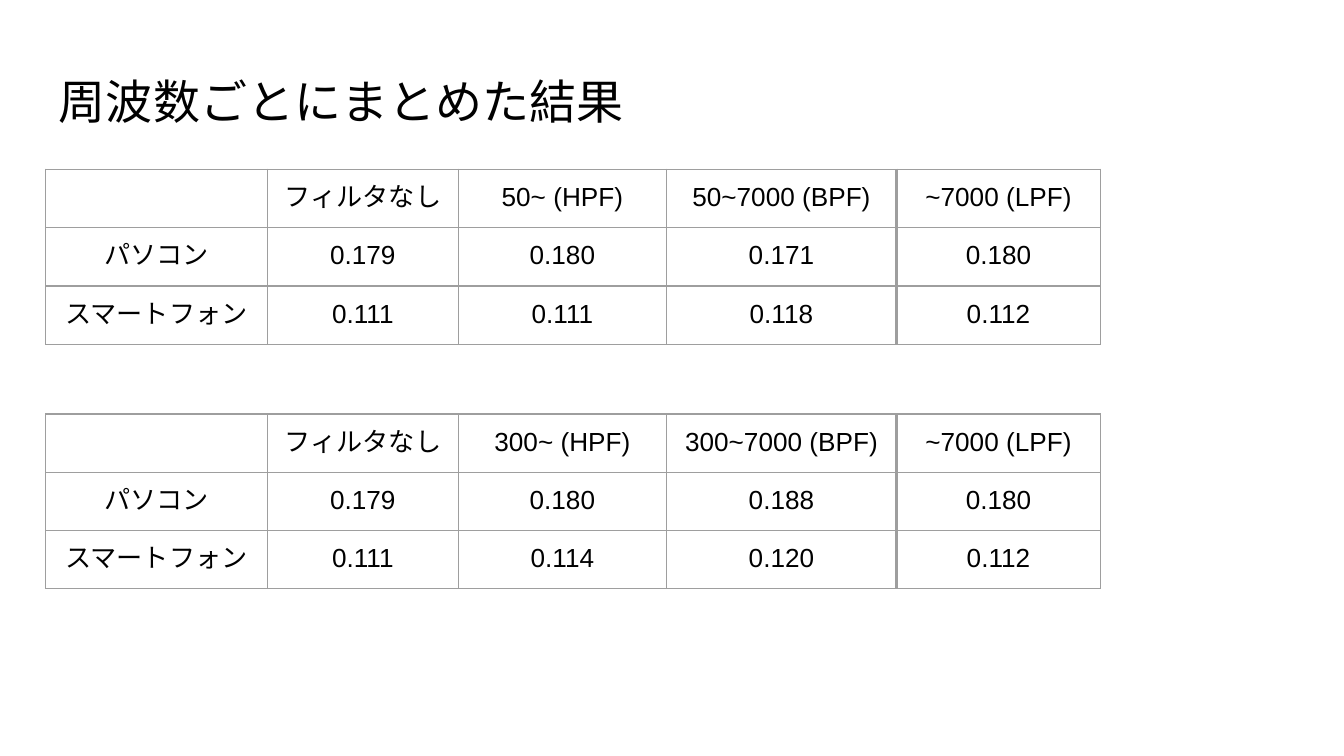
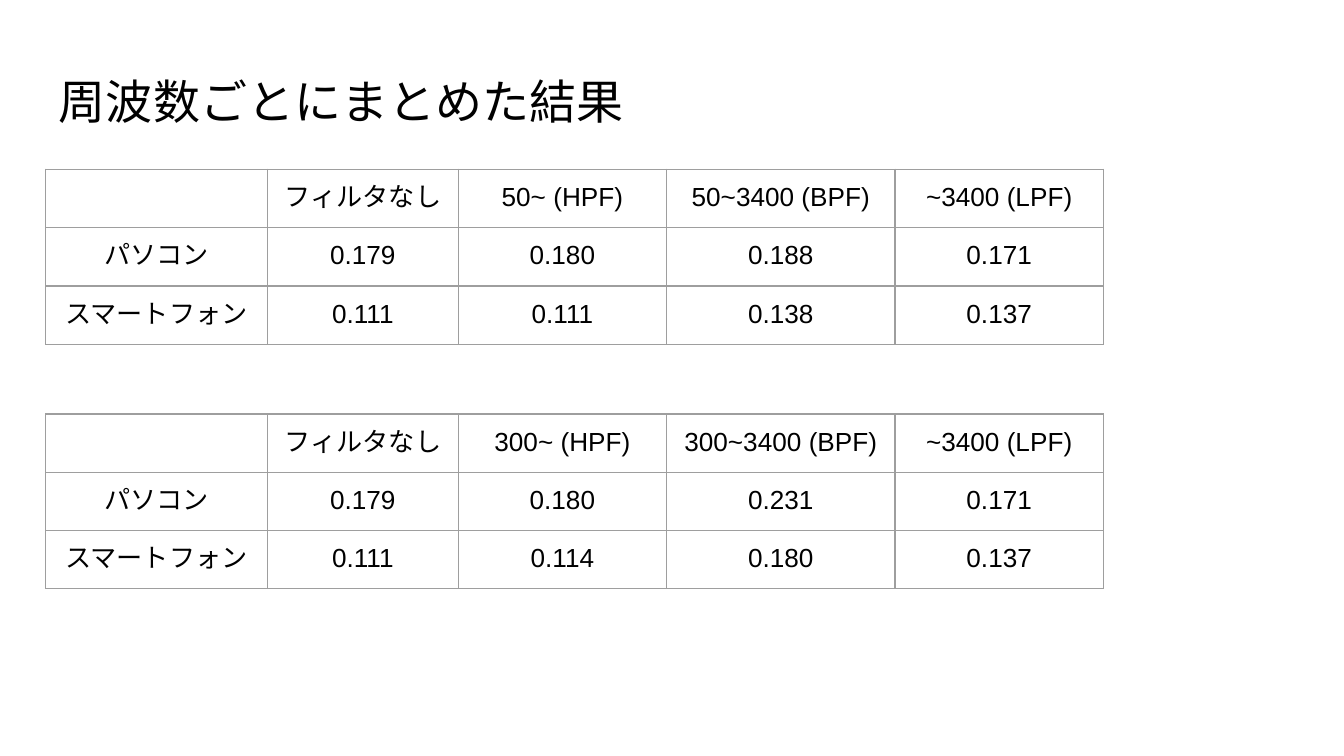
from dataclasses import dataclass
from itertools import product

from lxml.etree import SubElement
from pptx import Presentation
from pptx.dml.color import RGBColor
from pptx.enum.text import MSO_ANCHOR as Anchor, PP_ALIGN as Align
from pptx.oxml.ns import qn
from pptx.util import Emu, Pt

# Shared style: 200 px to the inch
EMU_PER_PX = 914400 // 200
FONT, INK, RULE = "Arial", "000000", "9E9E9E"
TITLE = "周波数ごとにまとめた結果"
TITLE_SIZE, CELL_SIZE = 25.2, 14
LEFT, ROW_HEIGHT, PADDING = 68, 84, 20
TABLE_TOPS = (252, 616)
THIN, THICK = 0.75, 1.5
BAND_PASS_COLUMN = 3
MARGINS = {f"margin_{side}": PADDING for side in ("left", "top", "right", "bottom")}


@dataclass(frozen=True)
class FilterTable:
    low: int                      # high-pass cutoff
    high_pass: tuple[str, str]    # values for PC, smartphone
    band_pass: tuple[str, str]


@dataclass(frozen=True)
class ResultSlide:
    high: int                     # low-pass cutoff
    low_pass: tuple[str, str]
    column_widths: tuple[int, ...]
    tables: tuple[FilterTable, FilterTable]


DEVICES = ("パソコン", "スマートフォン")
NO_FILTER = ("0.179", "0.111")
RESULTS = (
    ResultSlide(7000, ("0.180", "0.112"), (330, 284, 310, 342, 304), (
        FilterTable(50, ("0.180", "0.111"), ("0.171", "0.118")),
        FilterTable(300, ("0.180", "0.114"), ("0.188", "0.120")),
    )),
    ResultSlide(3400, ("0.171", "0.137"), (330, 284, 310, 340, 310), (
        FilterTable(50, ("0.180", "0.111"), ("0.188", "0.138")),
        FilterTable(300, ("0.180", "0.114"), ("0.231", "0.180")),
    )),
)


def px(length: int) -> Emu:
    return Emu(length * EMU_PER_PX)


def color(value: str) -> RGBColor:
    return RGBColor.from_string(value)


def apply(target, values: dict) -> None:
    for name, value in values.items():
        setattr(target, name, value)


def write(paragraph, text: str, size: float) -> None:
    if not text:
        SubElement(paragraph._p, qn("a:endParaRPr"), sz=str(size * 100))
        return
    run = paragraph.add_run()
    run.text = text
    apply(run.font, {"name": FONT, "size": Pt(size)})
    run.font.color.rgb = color(INK)
    SubElement(run._r.get_or_add_rPr(), qn("a:ea"), typeface=FONT)


def add_title(slide) -> None:
    frame = slide.shapes.add_textbox(px(LEFT), px(98), px(1864), px(126)).text_frame
    apply(frame, {name: px(value) for name, value in MARGINS.items()})
    apply(frame, {"word_wrap": True, "vertical_anchor": Anchor.TOP})
    paragraph = frame.paragraphs[0]
    paragraph.line_spacing = 0.9
    write(paragraph, TITLE, TITLE_SIZE)


def add_borders(cell, column: int) -> None:
    # The rule between band-pass and low-pass is heavier
    heavy = {(BAND_PASS_COLUMN, "R"), (BAND_PASS_COLUMN + 1, "L")}
    properties = cell._tc.get_or_add_tcPr()
    for side in "LRTB":
        width = THICK if (column, side) in heavy else THIN
        line = SubElement(properties, qn(f"a:ln{side}"), w=str(Pt(width)))
        fill = SubElement(line, qn("a:solidFill"))
        SubElement(fill, qn("a:srgbClr"), val=RULE)


def table_rows(result: ResultSlide, table: FilterTable) -> list[tuple[str, ...]]:
    header = ("", "フィルタなし", f"{table.low}~ (HPF)",
              f"{table.low}~{result.high} (BPF)", f"~{result.high} (LPF)")
    return [header, *zip(DEVICES, NO_FILTER, table.high_pass,
                         table.band_pass, result.low_pass)]


def add_result_table(slide, top: int, widths: tuple[int, ...],
                     rows: list[tuple[str, ...]]) -> None:
    table = slide.shapes.add_table(
        len(rows), len(widths), px(LEFT), px(top),
        px(sum(widths)), px(ROW_HEIGHT * len(rows))).table
    apply(table, {"first_row": False, "horz_banding": False})
    for column, width in zip(table.columns, widths):
        column.width = px(width)
    for row, column in product(range(len(rows)), range(len(widths))):
        cell = table.cell(row, column)
        apply(cell, {name: px(value) for name, value in MARGINS.items()})
        cell.vertical_anchor = Anchor.TOP
        add_borders(cell, column)
        cell.fill.background()
        paragraph = cell.text_frame.paragraphs[0]
        paragraph.alignment = Align.CENTER
        write(paragraph, rows[row][column], CELL_SIZE)


def main() -> None:
    presentation = Presentation()
    apply(presentation, {"slide_width": px(2000), "slide_height": px(1125)})
    for result in RESULTS:
        slide = presentation.slides.add_slide(presentation.slide_layouts[6])
        add_title(slide)
        for top, table in zip(TABLE_TOPS, result.tables):
            add_result_table(slide, top, result.column_widths, table_rows(result, table))
    presentation.save("out.pptx")


if __name__ == "__main__":
    main()
